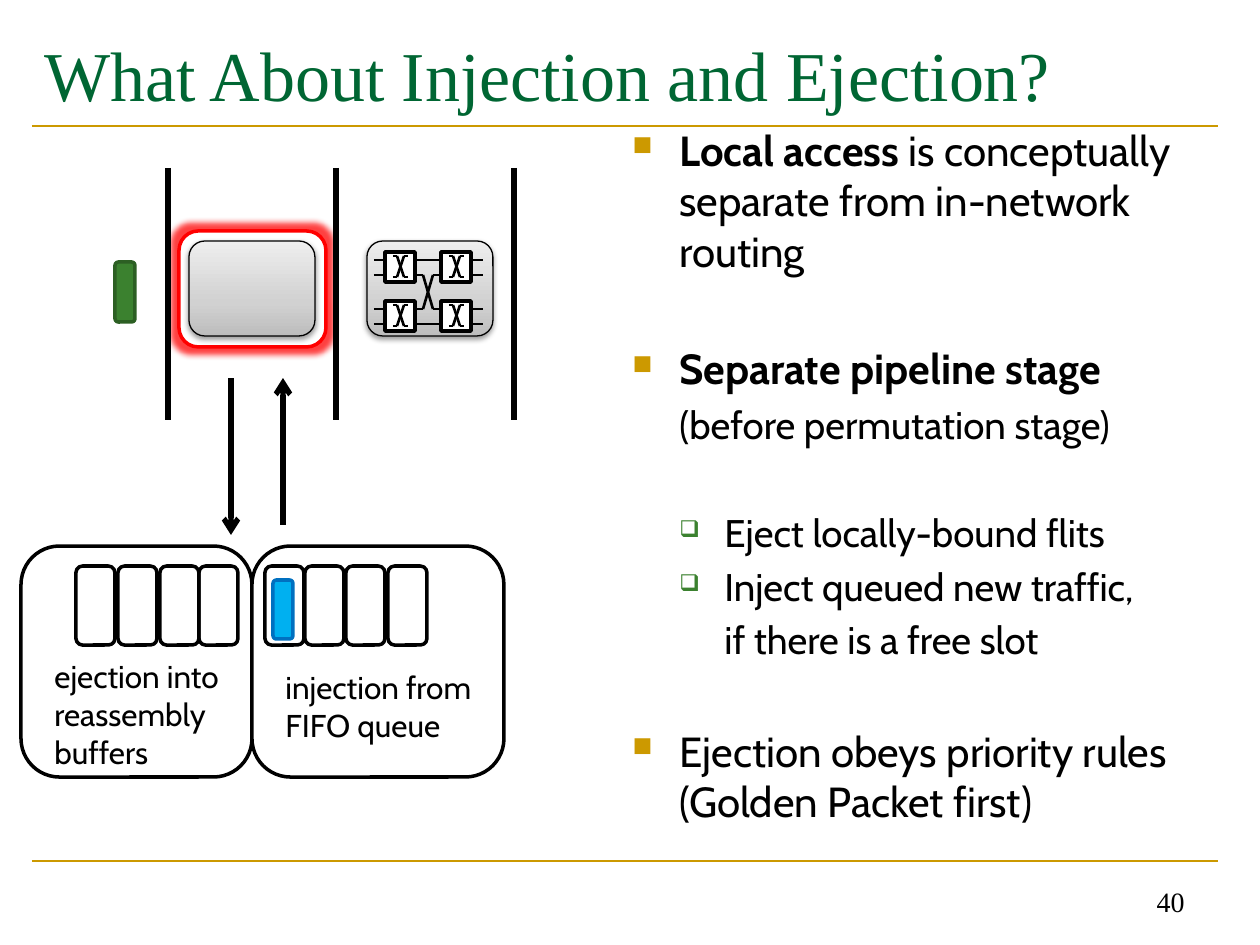
from dataclasses import dataclass
from itertools import product

from lxml import etree
from pptx import Presentation, util as u
from pptx.dml.color import RGBColor
from pptx.enum import shapes, text
from pptx.oxml import parse_xml
from pptx.oxml.ns import nsdecls, qn

PX = 914400 / 126
BLACK, WHITE, GOLD, GREEN = "000000", "FFFFFF", "CC9900", "3B812F"
SANS, SERIF = "Cabin", "Times New Roman"


@dataclass(frozen=True)
class Box:
    left: int
    top: int
    width: int
    height: int
    fill: str | None = None
    line: str = BLACK
    weight: float = 2
    preset: shapes.MSO_SHAPE = shapes.MSO_SHAPE.ROUNDED_RECTANGLE


@dataclass(frozen=True)
class Line:
    x1: int
    y1: int
    x2: int
    y2: int
    color: str = BLACK
    weight: float = 1.5
    arrow: bool = False


@dataclass(frozen=True)
class Bullet:
    char: str
    color: str
    percent: int


@dataclass(frozen=True)
class Point:
    runs: tuple[tuple[str, bool], ...]
    size: int
    margin: int
    before: float = 0
    bullet: Bullet | None = None
    hang: int = 0


SQUARE = Bullet("■", GOLD, 65)
HOLLOW = Bullet("❑", GREEN, 60)
POINTS = [
    Point((("Local access", True), (" is conceptually separate from in-network routing", False)),
          24, 47, 0, SQUARE, 47),
    Point((("Separate pipeline stage", True),), 24, 47, 38.4, SQUARE, 47),
    Point((("(before permutation stage)", False),), 22, 47, 4.4),
    Point((("Eject locally-bound flits", False),), 22, 92, 35.3, HOLLOW, 45),
    Point((("Inject queued new traffic,", False),), 22, 92, 4.4, HOLLOW, 45),
    Point((("if there is a free slot", False),), 22, 92, 4.4),
    Point((("Ejection obeys priority rules (Golden Packet first)", False),),
          24, 47, 35.7, SQUARE, 47),
]
RULES = [Line(32, y, 1218, y, GOLD) for y in (861, 126)]
BUFFERS = [Box(21, 546, 231, 231, WHITE), Box(252, 546, 252, 231, WHITE)]
ACTIVE_STAGE = Box(179, 231, 147, 116, WHITE, "FF0000")
STAGE_BORDERS = [Line(x, 168, x, 420, weight=3) for x in (168, 336, 514)]
STAGES = [Box(left, 241, 126, 95, line=BLACK, weight=0.75) for left in (189, 367)]
ARROWS = [Line(231, 378, 231, 535, weight=3, arrow=True),
          Line(283, 525, 283, 378, weight=3, arrow=True)]
FLITS = [Box(115, 262, 20, 60, GREEN, "2C5F23"), Box(273, 580, 20, 59, "00B0F0", "0070C0")]
SLOTS = [Box(left, 566, 39, 79) for left in (76, 118, 160, 199, 265, 305, 346, 388)]
GLOW = '<a:glow rad="88900"><a:srgbClr val="FF0000"><a:alpha val="75000"/></a:srgbClr></a:glow>'
SHADOW = ('<a:outerShdw blurRad="39370" dist="20320" dir="5400000" rotWithShape="0">'
          '<a:srgbClr val="000000"><a:alpha val="38000"/></a:srgbClr></a:outerShdw>')


def px(value: int) -> u.Emu:
    """Turn whole pixels into EMU."""
    return u.Emu(round(value * PX))


def rgb(color: str) -> RGBColor:
    """Turn a hex string into a colour."""
    return RGBColor.from_string(color)


def add_effect(shape, effect: str = "") -> None:
    """Give the shape its own effect list."""
    for old in shape._element.spPr.findall(qn("a:effectLst")):
        shape._element.spPr.remove(old)
    shape._element.spPr.append(parse_xml(f'<a:effectLst {nsdecls("a")}>{effect}</a:effectLst>'))


def draw_box(target, box: Box):
    """Draw one preset shape."""
    shape = target.add_shape(box.preset, px(box.left), px(box.top), px(box.width), px(box.height))
    shape.shadow.inherit = False
    if box.fill:
        shape.fill.solid()
        shape.fill.fore_color.rgb = rgb(box.fill)
    else:
        shape.fill.background()
    shape.line.color.rgb = rgb(box.line)
    shape.line.width = u.Pt(box.weight)
    return shape


def draw_line(target, line: Line) -> None:
    """Draw one straight line, with an arrowhead at its end if asked."""
    connector = target.add_connector(shapes.MSO_CONNECTOR.STRAIGHT, px(line.x1), px(line.y1),
                                     px(line.x2), px(line.y2))
    connector.line.color.rgb = rgb(line.color)
    connector.line.width = u.Pt(line.weight)
    if line.arrow:
        etree.SubElement(connector.line._get_or_add_ln(), qn("a:tailEnd"), type="arrow")
    add_effect(connector)


def draw_stage(target, box: Box) -> None:
    """Draw a pipeline stage with a grey gradient and a soft shadow."""
    shape = draw_box(target, box)
    stops = "".join(f'<a:gs pos="{place}000"><a:srgbClr val="{color}"/></a:gs>'
                    for place, color in ((0, "BDBDBD"), (35, "D1D1D1"), (100, "EEEEEE")))
    gradient = parse_xml(f'<a:gradFill {nsdecls("a")} rotWithShape="1"><a:gsLst>{stops}</a:gsLst>'
                         '<a:lin ang="16200000" scaled="0"/></a:gradFill>')
    properties = shape._element.spPr
    properties.replace(properties.find(qn("a:noFill")), gradient)
    add_effect(shape, SHADOW)


def draw_crossing(target, xs: tuple[int, ...], top: int, bottom: int) -> None:
    """Draw two wires that swap places between the middle two of four x values."""
    start, left, right, end = xs
    for y, other in ((top, bottom), (bottom, top)):
        draw_line(target, Line(start, y, left, y))
        draw_line(target, Line(left, y, right, other))
        draw_line(target, Line(right, y, end, y))


def draw_network(target) -> None:
    """Draw the permutation network of four switches as a group."""
    group = target.add_group_shape().shapes
    for top, left in product((252, 301), (385, 441)):
        draw_box(group, Box(left, top, 30, 30, WHITE, preset=shapes.MSO_SHAPE.RECTANGLE))
        draw_crossing(group, tuple(left + step for step in (8, 12, 19, 23)), top + 4, top + 25)
    draw_crossing(group, (415, 423, 433, 441), 275, 309)
    for y in (260, 324):
        draw_line(group, Line(415, y, 441, y))
    for (x1, x2), y in product(((374, 385), (471, 483)), (260, 275, 309, 324)):
        draw_line(group, Line(x1, y, x2, y))


def add_run(paragraph, words: str, size: int, font: str = SANS, color: str = BLACK,
            bold: bool = False) -> None:
    """Add one formatted run."""
    run = paragraph.add_run()
    run.text = words
    run.font.size, run.font.name, run.font.bold = u.Pt(size), font, bold
    run.font.color.rgb = rgb(color)


def add_text_frame(target, left: int, top: int, width: int, height: int, wrap: bool = True):
    """Add a text box and return its frame."""
    frame = target.add_textbox(px(left), px(top), px(width), px(height)).text_frame
    frame.word_wrap = wrap
    return frame


def next_paragraph(frame, index: int):
    """Return the first paragraph, or add a further one."""
    return frame.add_paragraph() if index else frame.paragraphs[0]


def write_label(target, lines: tuple[str, ...], *place: int, wrap: bool = True) -> None:
    """Write a buffer label, one paragraph a line."""
    frame = add_text_frame(target, *place, wrap=wrap)
    for index, line in enumerate(lines):
        add_run(next_paragraph(frame, index), line, 18)


def write_point(paragraph, point: Point) -> None:
    """Write one point of the body text."""
    properties = paragraph._p.get_or_add_pPr()
    properties.set("marL", str(px(point.margin)))
    properties.set("indent", str(-px(point.hang)))
    if point.before:
        paragraph.space_before = u.Pt(point.before)
    if point.bullet:
        color = etree.SubElement(properties, qn("a:buClr"))
        etree.SubElement(color, qn("a:srgbClr"), val=point.bullet.color)
        etree.SubElement(properties, qn("a:buSzPct"), val=f"{point.bullet.percent}000")
        etree.SubElement(properties, qn("a:buChar"), char=point.bullet.char)
    for words, bold in point.runs:
        add_run(paragraph, words, point.size, bold=bold)


def write_title(title) -> None:
    """Place and format the title."""
    title.left, title.top, title.width, title.height = px(32), px(21), px(1187), px(105)
    frame = title.text_frame
    frame.auto_size = text.MSO_AUTO_SIZE.NONE
    frame.vertical_anchor = text.MSO_ANCHOR.MIDDLE
    frame.paragraphs[0].alignment = text.PP_ALIGN.LEFT
    add_run(frame.paragraphs[0], "What About Injection and Ejection?", 40, SERIF, "006633")


def main() -> None:
    """Build the slide and save it."""
    presentation = Presentation()
    presentation.slide_width, presentation.slide_height = px(1260), px(945)
    slide = presentation.slides.add_slide(presentation.slide_layouts[5])
    target = slide.shapes
    write_title(target.title)
    for rule in RULES:
        draw_line(target, rule)
    for buffer in BUFFERS:
        draw_box(target, buffer)
    add_effect(draw_box(target, ACTIVE_STAGE), GLOW)
    body = add_text_frame(target, 620, 118, 597, 736)
    for index, point in enumerate(POINTS):
        write_point(next_paragraph(body, index), point)
    number = add_text_frame(target, 903, 861, 294, 63)
    number.vertical_anchor = text.MSO_ANCHOR.BOTTOM
    number.paragraphs[0].alignment = text.PP_ALIGN.RIGHT
    add_run(number.paragraphs[0], "40", 16, SERIF)
    for border in STAGE_BORDERS:
        draw_line(target, border)
    for stage in STAGES:
        draw_stage(target, stage)
    draw_network(target)
    for arrow in ARROWS:
        draw_line(target, arrow)
    for box in FLITS + SLOTS:
        draw_box(target, box)
    write_label(target, ("ejection into", "reassembly buffers"), 42, 651, 220, 127)
    write_label(target, ("injection from", "FIFO queue"), 273, 662, 219, 89, wrap=False)
    presentation.save("out.pptx")


if __name__ == "__main__":
    main()
